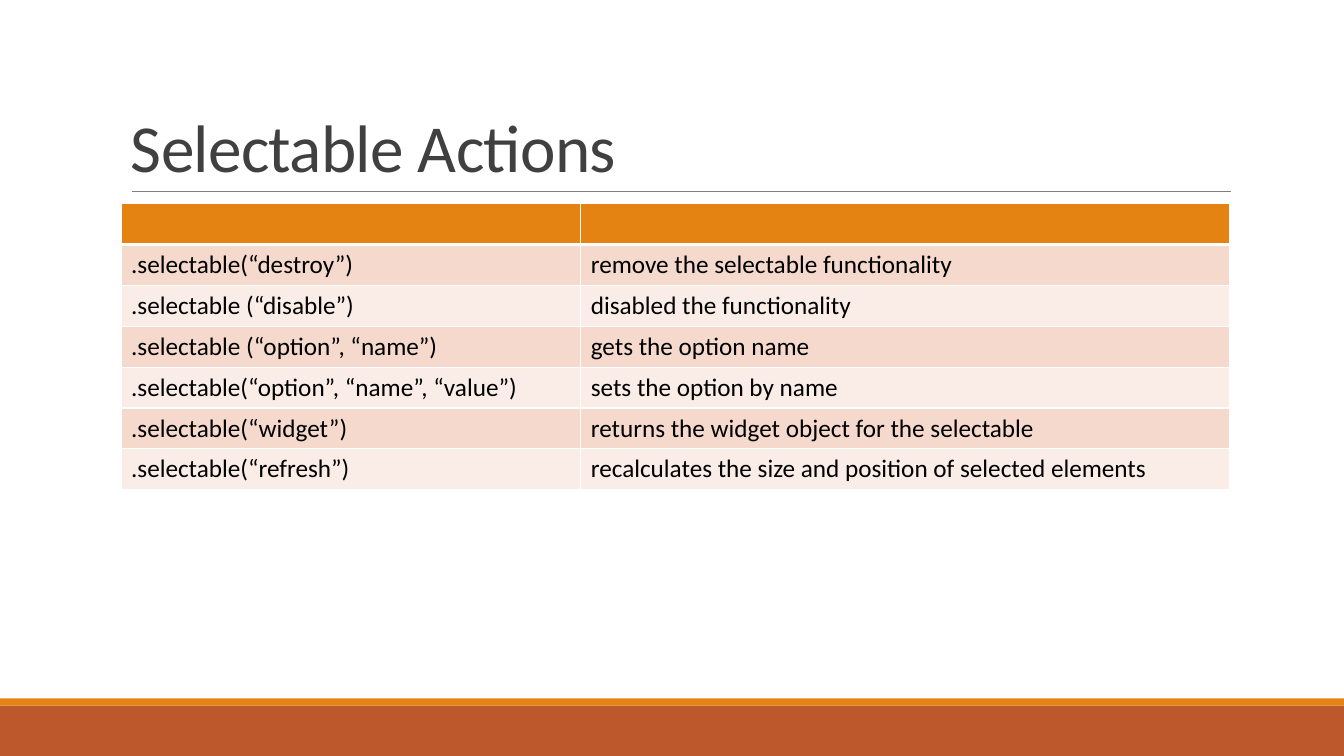
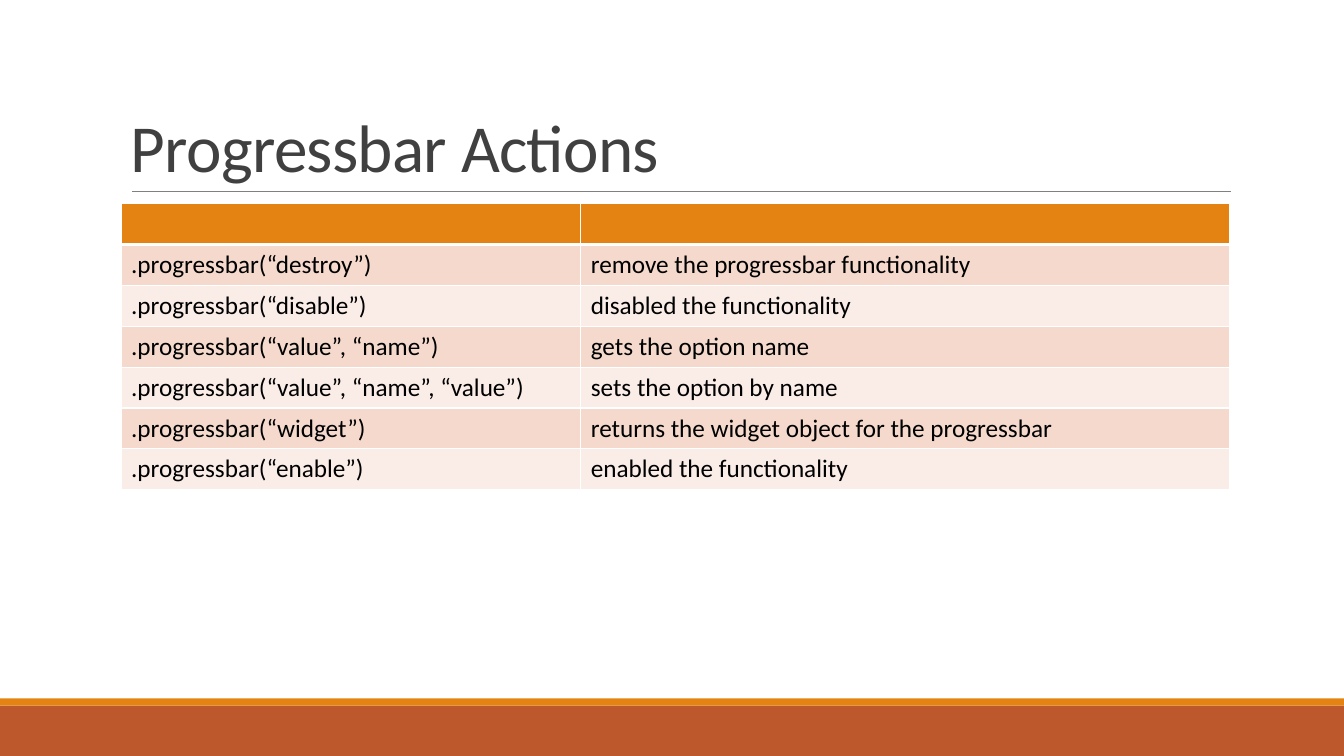
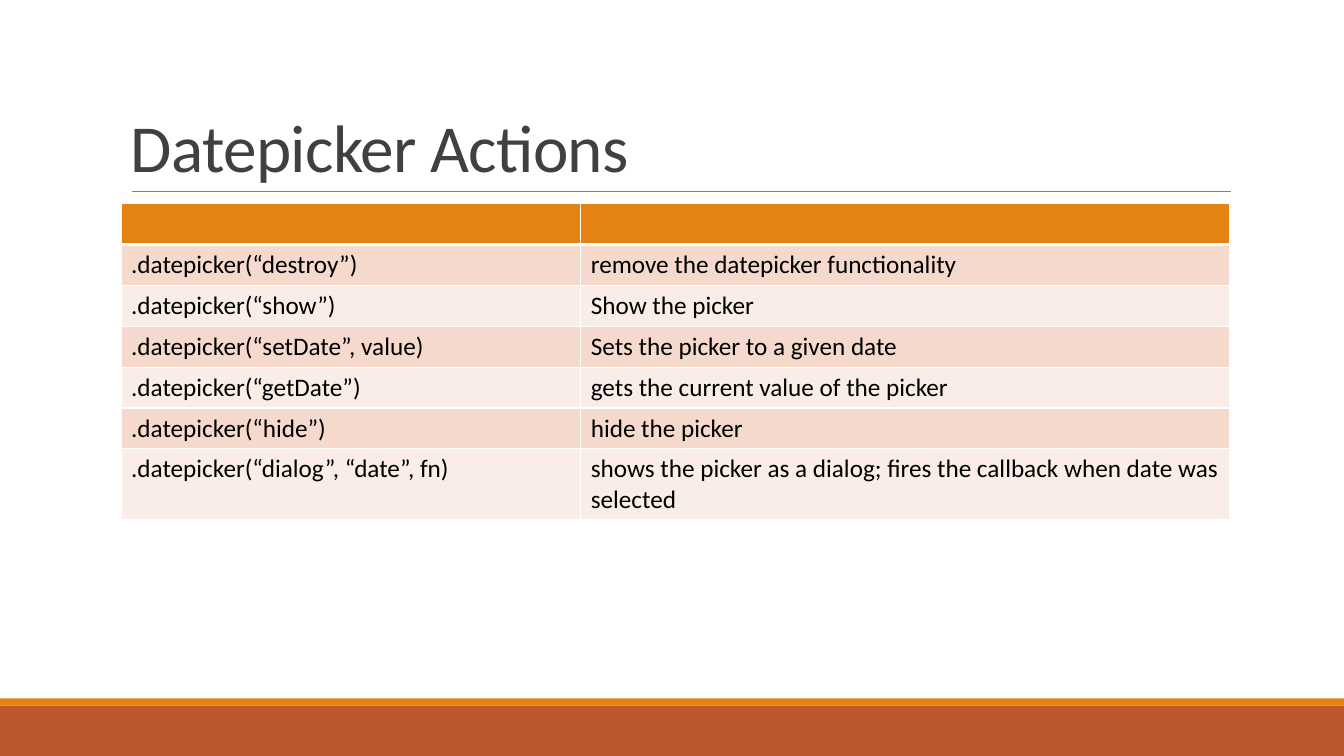
from lxml import etree
from pptx import Presentation
from pptx.dml.color import RGBColor
from pptx.enum.shapes import MSO_CONNECTOR, MSO_SHAPE
from pptx.enum.text import MSO_ANCHOR
from pptx.oxml.ns import qn
from pptx.util import Inches, Pt

RECT = MSO_SHAPE.RECTANGLE
STRAIGHT = MSO_CONNECTOR.STRAIGHT
BOTTOM = MSO_ANCHOR.BOTTOM

FONT = "Calibri"
WHITE, BLACK, TITLE, RULE = "FFFFFF", "000000", "404040", "808080"
ORANGE, RUST = "E48312", "BD582C"
ROW_FILLS = ["F5D9CC", "FAEDE7"]

SLIDE_W, SLIDE_H = 13.33, 7.5
LEFT, WIDTH = 1.2, 11
RULE_LEFT, RULE_RIGHT, RULE_TOP = 1.31, 12.21, 1.9
TABLE_TOP, TABLE_H = 2.02, 2.84
COLUMNS = [4.56, 6.44]
BANDS = [(7, 0.5, RUST), (6.93, 0.07, ORANGE)]

SLIDES = [
    ("Selectable Actions", [
        (".selectable(“destroy”)", "remove the selectable functionality"),
        (".selectable (“disable”)", "disabled the functionality"),
        (".selectable (“option”, “name”)", "gets the option name"),
        (".selectable(“option”, “name”, “value”)", "sets the option by name"),
        (".selectable(“widget”)", "returns the widget object for the selectable"),
        (".selectable(“refresh”)", "recalculates the size and position of selected elements"),
    ]),
    ("Progressbar Actions", [
        (".progressbar(“destroy”)", "remove the progressbar functionality"),
        (".progressbar(“disable”)", "disabled the functionality"),
        (".progressbar(“value”, “name”)", "gets the option name"),
        (".progressbar(“value”, “name”, “value”)", "sets the option by name"),
        (".progressbar(“widget”)", "returns the widget object for the progressbar"),
        (".progressbar(“enable”)", "enabled the functionality"),
    ]),
    ("Datepicker Actions", [
        (".datepicker(“destroy”)", "remove the datepicker functionality"),
        (".datepicker(“show”)", "Show the picker"),
        (".datepicker(“setDate”, value)", "Sets the picker to a given date"),
        (".datepicker(“getDate”)", "gets the current value of the picker"),
        (".datepicker(“hide”)", "hide the picker"),
        (".datepicker(“dialog”, “date”, fn)",
         "shows the picker as a dialog; fires the callback when date was selected"),
    ]),
]


def rgb(value):
    return RGBColor.from_string(value)


def style(font, size, color):
    font.name = FONT
    font.size = Pt(size)
    font.bold = False
    font.color.rgb = rgb(color)


def add_frame(s):
    for top, height, color in BANDS:
        sp = s.shapes.add_shape(RECT, 0, Inches(top), Inches(SLIDE_W), Inches(height))
        sp.shadow.inherit = False
        sp.fill.solid()
        sp.fill.fore_color.rgb = rgb(color)
        sp.line.fill.background()
    rule = s.shapes.add_connector(STRAIGHT, Inches(RULE_LEFT), Inches(RULE_TOP),
                                  Inches(RULE_RIGHT), Inches(RULE_TOP))
    rule.line.color.rgb = rgb(RULE)
    rule.line.width = Pt(0.5)
    etree.SubElement(rule._element.spPr, qn("a:effectLst"))


def add_title(s, text):
    sp = s.shapes.add_textbox(Inches(LEFT), Inches(0.31), Inches(WIDTH), Inches(1.59))
    tf = sp.text_frame
    tf.word_wrap = True
    tf.vertical_anchor = BOTTOM
    tf.text = text
    p = tf.paragraphs[0]
    p.line_spacing = 0.85
    r = p.runs[0]
    style(r.font, 48, TITLE)
    r.font._element.set("spc", "-50")


def add_borders(cell, top, bottom):
    tcPr = cell._tc.get_or_add_tcPr()
    for side, width in [("L", 1), ("R", 1), ("T", top), ("B", bottom)]:
        ln = etree.SubElement(tcPr, qn(f"a:ln{side}"), w=str(Pt(width)))
        fill = etree.SubElement(ln, qn("a:solidFill"))
        etree.SubElement(fill, qn("a:srgbClr"), val=WHITE)


def add_actions(s, actions):
    rows = [("", "")] + actions
    table = s.shapes.add_table(len(rows), len(COLUMNS), Inches(LEFT), Inches(TABLE_TOP),
                               Inches(WIDTH), Inches(TABLE_H)).table
    for column, width in zip(table.columns, COLUMNS):
        column.width = Inches(width)
    for i, row in enumerate(rows):
        for j, text in enumerate(row):
            cell = table.cell(i, j)
            add_borders(cell, 3 if i == 1 else 1, 3 if i == 0 else 1)
            cell.fill.solid()
            cell.fill.fore_color.rgb = rgb(ROW_FILLS[(i - 1) % 2] if i else ORANGE)
            if text:
                cell.text_frame.text = text
                style(cell.text_frame.paragraphs[0].runs[0].font, 18, BLACK)


def main():
    prs = Presentation()
    prs.slide_width = Inches(SLIDE_W)
    prs.slide_height = Inches(SLIDE_H)
    for title, actions in SLIDES:
        s = prs.slides.add_slide(prs.slide_layouts[6])
        add_frame(s)
        add_title(s, title)
        add_actions(s, actions)
    prs.save("out.pptx")


if __name__ == "__main__":
    main()
